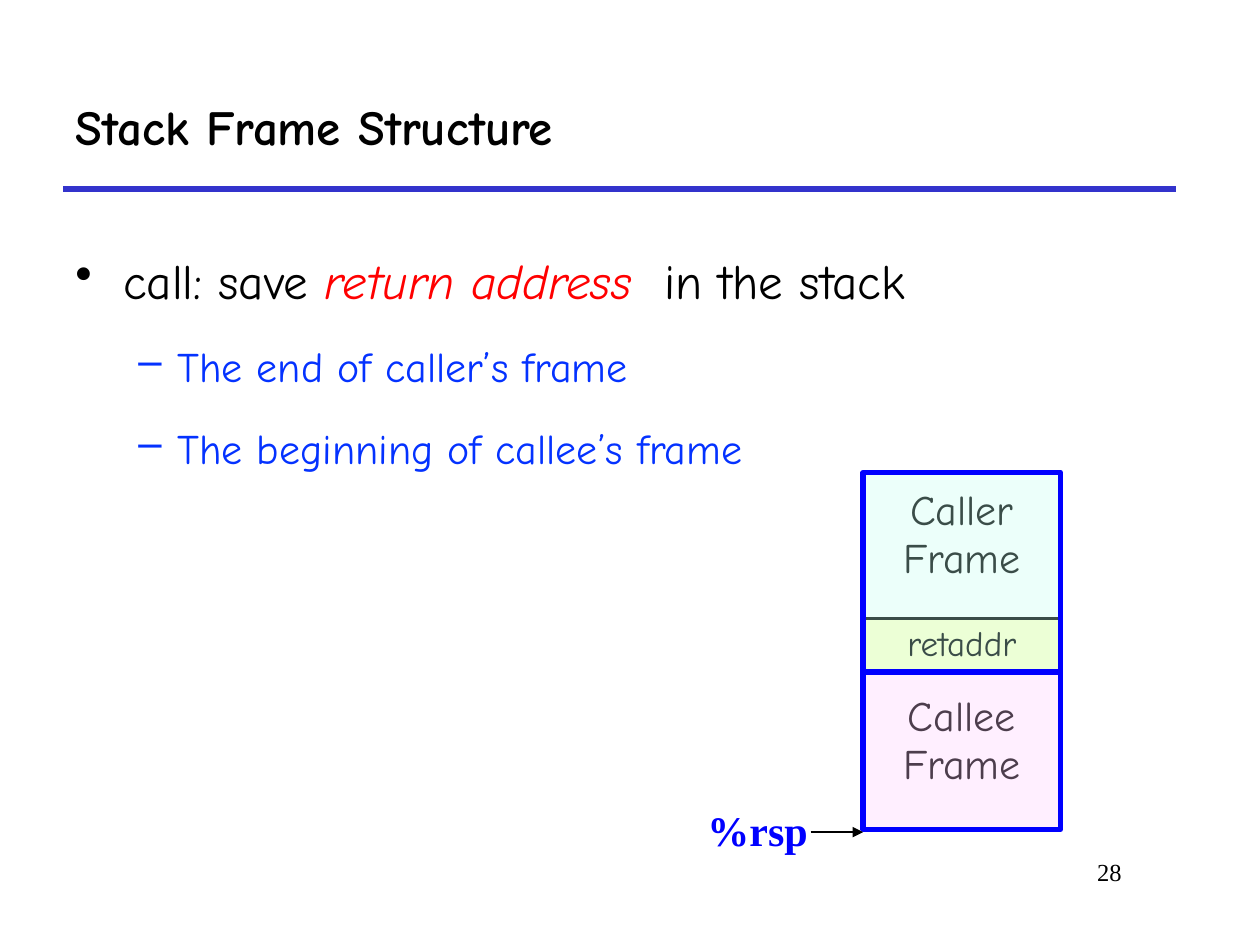
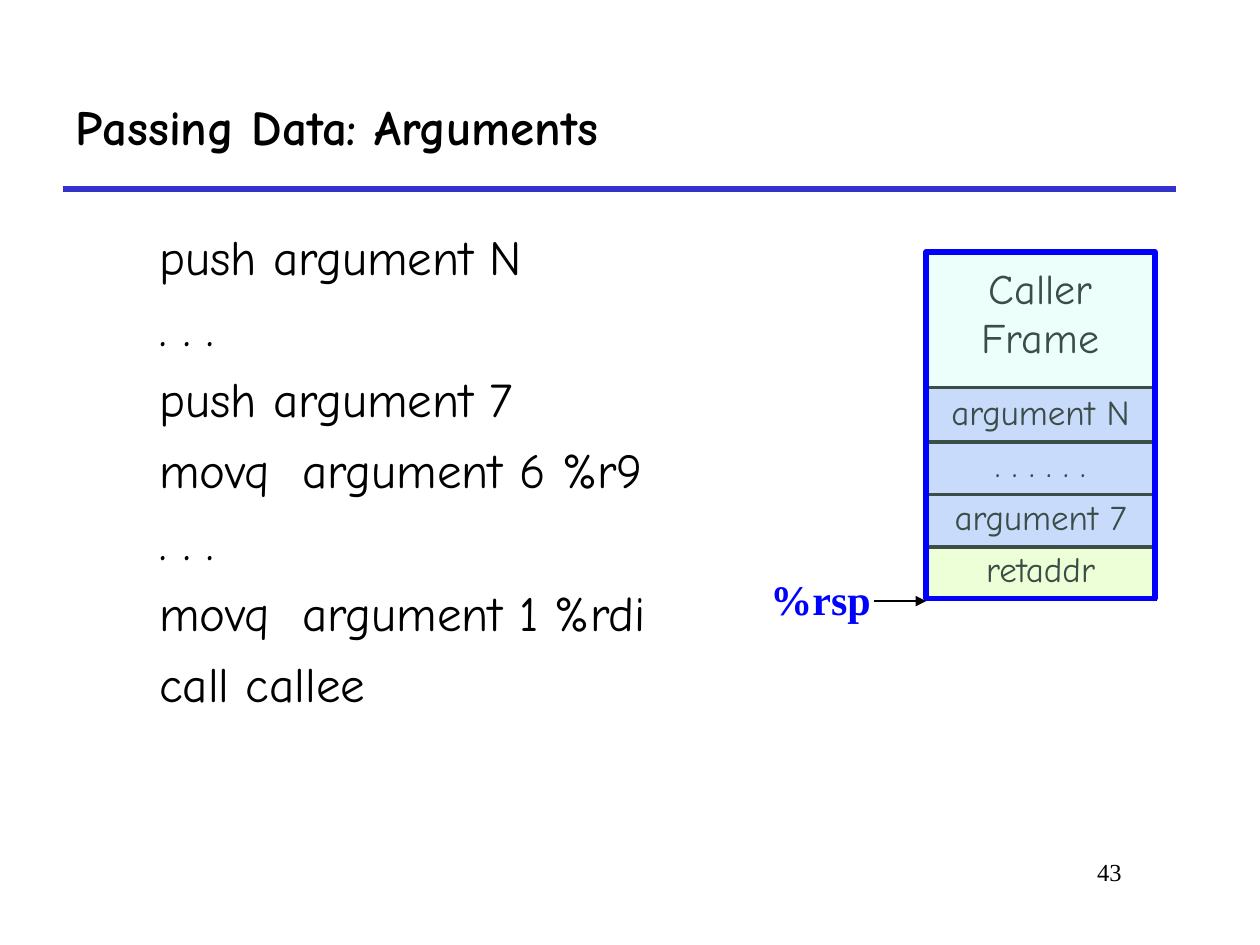
import collections
import pptx
import pptx.dml.color
import pptx.enum.shapes
import pptx.enum.text
import pptx.oxml
import pptx.oxml.ns
import pptx.util

COLUMNS, ROWS = 120, 90
WIDTH, HEIGHT = pptx.util.Inches(10), pptx.util.Inches(7.5)
HAND, SERIF = "Comic Neue", "Times New Roman"
BLACK, RED, BLUE, RULE, SUBPOINT = "000000", "FF0000", "0000FF", "3333CC", "0432FF"
MINT, PINK, CREAM, LILAC = "C2FFF0", "FFCCFF", "FFFFCC", "CCCCFF"
CELL_ROWS, CELL_PITCH = 5.1, 5
ALIGN = pptx.enum.text.PP_ALIGN

Box = collections.namedtuple("Box", "left top width height")
Frame = collections.namedtuple("Frame", "text top height margin tint tint_height")


def color(value):
    return pptx.dml.color.RGBColor.from_string(value)


def across(columns):
    return round(WIDTH * columns / COLUMNS)


def down(rows):
    return round(HEIGHT * rows / ROWS)


def place(box):
    return across(box.left), down(box.top), across(box.width), down(box.height)


def add_xml(parent, tag, inner="", **attributes):
    fields = "".join(f' {name}="{value}"' for name, value in attributes.items())
    space = pptx.oxml.ns.nsdecls("a")
    node = pptx.oxml.parse_xml(f"<a:{tag} {space}{fields}>{inner}</a:{tag}>")
    parent.append(node)
    return node


def style(span, size, face=HAND, ink=BLACK, bold=False, italic=False):
    span.font.size = pptx.util.Pt(size)
    span.font.name = face
    span.font.color.rgb = color(ink)
    span.font.bold = bold
    span.font.italic = italic


def style_paragraph(para, size, **look):
    for span in para.runs:
        style(span, size, **look)


def add_text(page, box, text, size, wrap=True, align=ALIGN.LEFT, **look):
    label = page.shapes.add_textbox(*place(box))
    label.text_frame.word_wrap = wrap
    label.text_frame.text = text
    for para in label.text_frame.paragraphs:
        para.alignment = align
        style_paragraph(para, size, **look)
    return label.text_frame


def add_line(page, start, end, ink, weight):
    line = page.shapes.add_connector(
        pptx.enum.shapes.MSO_CONNECTOR.STRAIGHT,
        across(start[0]), down(start[1]), across(end[0]), down(end[1]))
    line.line.color.rgb = color(ink)
    line.line.width = pptx.util.Pt(weight)
    add_xml(line.element.spPr, "effectLst")
    return line


def add_page(deck, title, number):
    page = deck.slides.add_slide(deck.slide_layouts[5])
    add_line(page, (6, 18), (112, 18), RULE, 3)
    heading = page.shapes.title
    heading.left, heading.top, heading.width, heading.height = place(Box(6, 6, 106, 12))
    heading.text_frame.text = title
    heading.text_frame.vertical_anchor = pptx.enum.text.MSO_ANCHOR.MIDDLE
    heading.text_frame.paragraphs[0].alignment = ALIGN.LEFT
    style_paragraph(heading.text_frame.paragraphs[0], 28, bold=True)
    add_text(page, Box(91, 81, 17, 6), number, 14, align=ALIGN.RIGHT, face=SERIF)
    return page


def add_cell(page, box, text, size, margin=0.05, fill=None):
    holder = page.shapes.add_table(1, 1, *place(box))
    table = holder.table
    table.first_row = table.horz_banding = False
    cell = table.cell(0, 0)
    cell.margin_top = pptx.util.Inches(margin)
    properties = cell._tc.get_or_add_tcPr()
    ink = f'<a:solidFill><a:srgbClr val="{BLACK}"/></a:solidFill>'
    for side in ("lnL", "lnR", "lnT", "lnB"):
        add_xml(properties, side, ink, w=pptx.util.Pt(2.25))
    if fill:
        cell.fill.solid()
        cell.fill.fore_color.rgb = color(fill)
    else:
        cell.fill.background()
    para = cell.text_frame.paragraphs[0]
    para.text = text
    para.alignment = ALIGN.CENTER
    style_paragraph(para, size)


def add_tint(page, box, tint):
    shape = page.shapes.add_shape(pptx.enum.shapes.MSO_SHAPE.RECTANGLE, *place(box))
    shape.shadow.inherit = False
    shape.fill.solid()
    shape.fill.fore_color.rgb = color(tint)
    shade = shape.element.spPr.find(".//" + pptx.oxml.ns.qn("a:srgbClr"))
    add_xml(shade, "alpha", val=30000)
    shape.line.color.rgb = color(BLUE)
    shape.line.width = pptx.util.Pt(3)


def add_pointer(page, stack):
    row = stack.top + stack.height - 3
    add_text(page, Box(stack.left - 16, row, 12, 6), "%rsp", 24, wrap=False,
             face=SERIF, ink=BLUE, bold=True)
    arrow = add_line(page, (stack.left - 5, row + 3.25), (stack.left, row + 3.25), BLACK, 0.75)
    add_xml(arrow.line._get_or_add_ln(), "tailEnd", type="triangle")


def add_stack(page, stack, frames, words, words_end):
    for index, (text, fill) in enumerate(reversed(words)):
        top = stack.top + words_end - CELL_ROWS - index * CELL_PITCH
        add_cell(page, Box(stack.left, top, stack.width, CELL_ROWS), text, 20, fill=fill)
    for frame in frames:
        add_cell(page, Box(stack.left, stack.top + frame.top, stack.width, frame.height),
                 frame.text, 24, margin=frame.margin)
    for frame in frames:
        add_tint(page, Box(stack.left, stack.top + frame.top, stack.width, frame.tint_height),
                 frame.tint)
    add_pointer(page, stack)


def add_bullet(para, mark, indent, hang):
    properties = para._p.get_or_add_pPr()
    properties.set("marL", str(pptx.util.Inches(indent)))
    properties.set("indent", str(-pptx.util.Inches(hang)))
    add_xml(properties, "buChar", char=mark)


def add_points(page, box):
    frame = add_text(page, box, "\n".join((
        "", "The end of caller’s frame", "The beginning of callee’s frame")), 24, ink=SUBPOINT)
    lead, *details = frame.paragraphs
    for text, look in (("call: save ", {}),
                       ("return address", {"ink": RED, "italic": True}),
                       ("  in the stack", {})):
        span = lead.add_run()
        span.text = text
        style(span, 28, **look)
    lead.line_spacing = 1.4
    add_bullet(lead, "•", 0.38, 0.38)
    for para in details:
        para.level = 1
        para.line_spacing = 1.4
        para.space_before = pptx.util.Pt(6.5)
        add_bullet(para, "–", 0.81, 0.31)


def add_code(page, box, lines):
    frame = add_text(page, box, "\n".join(lines), 28)
    for para in frame.paragraphs[1:]:
        para.space_before = pptx.util.Pt(7)


def build_frame_structure(deck):
    page = add_page(deck, "Stack Frame Structure", "28")
    add_points(page, Box(6, 21, 110, 58))
    frames = [Frame("Caller\nFrame", 0, 19, 0.12, MINT, 19),
              Frame("Callee\nFrame", 19, 15, 0.17, PINK, 15)]
    add_stack(page, Box(82.2, 45, 18.8, 34), frames, [("retaddr", CREAM)], 19)


def build_passing_arguments(deck):
    page = add_page(deck, "Passing Data: Arguments", "43")
    add_code(page, Box(14, 21, 102, 58), (
        "push argument N", ". . .", "push argument 7", "movq  argument 6 %r9",
        ". . .", "movq  argument 1 %rdi", "call callee"))
    words = [("argument N", LILAC), (". . . . . .", LILAC),
             ("argument 7", LILAC), ("retaddr", CREAM)]
    frames = [Frame("Caller\nFrame", 0, 33, 0.12, MINT, 33)]
    add_stack(page, Box(88.2, 24, 21.8, 33), frames, words, 33)


def main():
    deck = pptx.Presentation()
    deck.slide_width, deck.slide_height = WIDTH, HEIGHT
    build_frame_structure(deck)
    build_passing_arguments(deck)
    deck.save("out.pptx")


if __name__ == "__main__":
    main()
